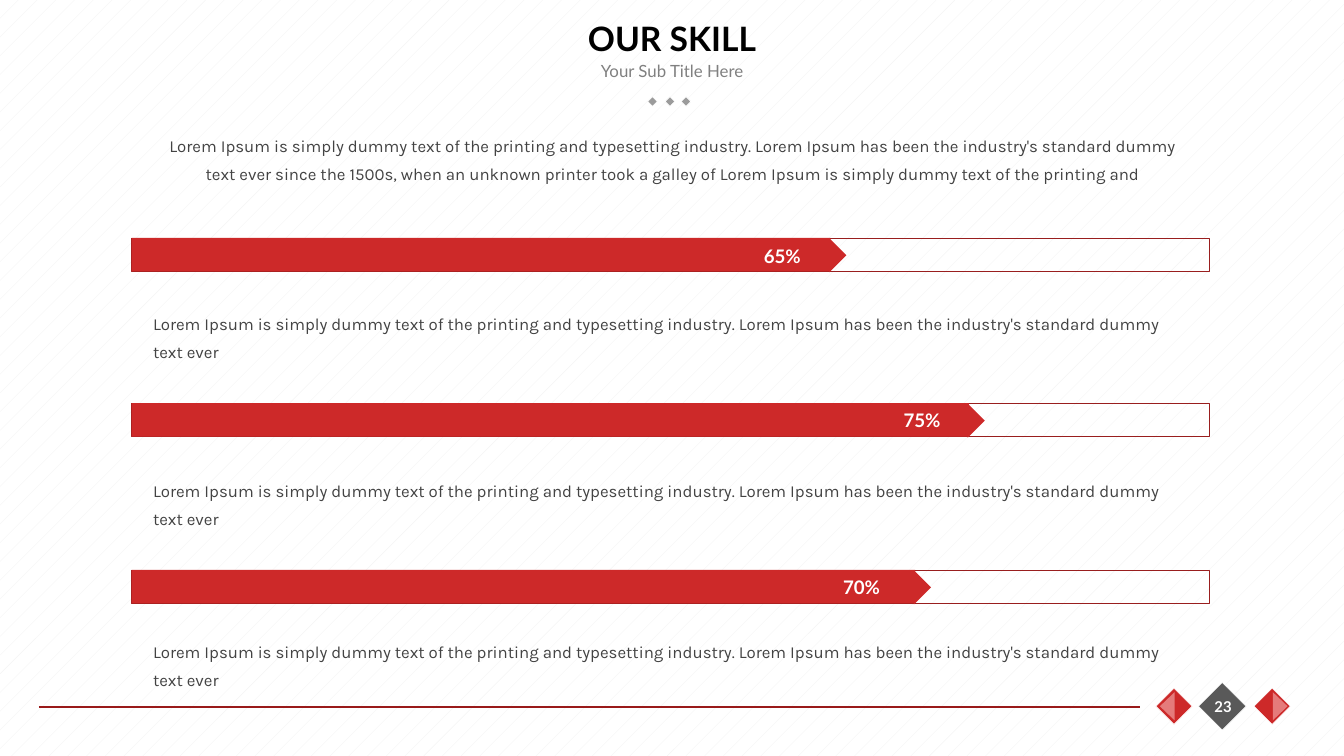
from lxml.etree import SubElement
from pptx import Presentation
from pptx.dml.color import RGBColor
from pptx.enum.dml import MSO_PATTERN
from pptx.enum.shapes import MSO_CONNECTOR, MSO_SHAPE
from pptx.enum.text import MSO_ANCHOR, MSO_AUTO_SIZE, PP_ALIGN
from pptx.oxml.ns import qn
from pptx.util import Inches, Pt

RED, DARK_RED, PINK = "CD2929", "991E1E", "E57B7B"
WHITE, DARK_GRAY = "FFFFFF", "595959"

INTRO = (
    "Lorem Ipsum is simply dummy text of the printing and typesetting industry. "
    "Lorem Ipsum has been the industry's standard dummy text ever since the 1500s, "
    "when an unknown printer took a galley of Lorem Ipsum is simply dummy text of "
    "the printing and"
)
DESCRIPTION = (
    "Lorem Ipsum is simply dummy text of the printing and typesetting industry. "
    "Lorem Ipsum has been the industry's standard dummy text ever"
)

# Label, bar top, filled width, label left, label top, description top
SKILLS = [
    ("65%", 1.77, 5.2, 5.46, 1.77, 2.23),
    ("75%", 3, 6.23, 6.5, 2.99, 3.47),
    ("70%", 4.24, 5.83, 6.05, 4.23, 4.67),
]
BAR_LEFT, BAR_WIDTH, BAR_HEIGHT = 0.98, 8.02, 0.25
TIP_SIZE = 0.18


def color(value):
    return RGBColor.from_string(value)


def place(box):
    return [Inches(length) for length in box]


def add_shape(shapes, kind, box, fill=None, line=None, rotation=0):
    shape = shapes.add_shape(kind, *place(box))
    shape.shadow.inherit = False
    shape.rotation = rotation
    if fill:
        shape.fill.solid()
        shape.fill.fore_color.rgb = color(fill)
    else:
        shape.fill.background()
    if line:
        shape.line.color.rgb = color(line)
        shape.line.width = Pt(0.25)
    else:
        shape.line.fill.background()
    return shape


def write_text(shape, text, size, font, text_color, bold=False,
               align=PP_ALIGN.CENTER, anchor=MSO_ANCHOR.MIDDLE, spacing=None):
    frame = shape.text_frame
    frame.word_wrap = True
    frame.vertical_anchor = anchor
    paragraph = frame.paragraphs[0]
    paragraph.alignment = align
    if spacing:
        paragraph.line_spacing = Pt(spacing)
    run = paragraph.add_run()
    run.text = text
    run.font.size = Pt(size)
    run.font.name = font
    run.font.bold = bold
    run.font.color.rgb = color(text_color)


def add_text(shapes, box, *content, **style):
    shape = shapes.add_textbox(*place(box))
    write_text(shape, *content, **style)
    return shape


def add_body(shapes, top, height, text, align):
    shape = add_text(shapes, (1.04, top, 7.92, height), text, 9, "Karla", "434343",
                     align=align, anchor=MSO_ANCHOR.TOP, spacing=15)
    shape.text_frame.auto_size = MSO_AUTO_SIZE.SHAPE_TO_FIT_TEXT


def add_diamond(shapes, left, top, size, fill):
    add_shape(shapes, MSO_SHAPE.RECTANGLE, (left, top, size, size), fill, WHITE, 315)


def add_header(slide):
    title = slide.shapes.title
    title.left, title.top, title.width, title.height = place((0.75, 0, 8.5, 0.56))
    write_text(title, "OUR SKILL", 18, "Lato", "000000", bold=True)
    add_text(slide.shapes, (3.75, 0.4, 2.5, 0.25),
             "Your Sub Title Here", 9, "Lato", "808080")
    dots = slide.shapes.add_group_shape().shapes
    for left in (4.83, 4.96, 5.08):
        add_diamond(dots, left, 0.73, 0.05, "9B9B9B")


def add_footer(slide):
    # Rule across the bottom
    rule = slide.shapes.add_connector(
        MSO_CONNECTOR.STRAIGHT, *place((0.29, 5.26, 8.48, 5.26)))
    rule.line.color.rgb = color("991A1A")
    rule.line.width = Pt(0.75)
    SubElement(rule.element.spPr, qn("a:effectLst"))

    # Page number between two arrow diamonds
    add_diamond(slide.shapes, 8.97, 5.13, 0.25, DARK_GRAY)
    for diamond_left, arrow_left, rotation in ((9.37, 9.42, 90), (8.64, 8.58, 270)):
        button = slide.shapes.add_group_shape().shapes
        add_diamond(button, diamond_left, 5.16, 0.19, RED)
        add_shape(button, MSO_SHAPE.FLOWCHART_EXTRACT,
                  (arrow_left, 5.2, 0.21, 0.11), PINK, rotation=rotation)
    add_text(slide.shapes, (8.89, 5.13, 0.42, 0.25), "23", 8, "Lato", WHITE, bold=True)


def add_skill(slide, label, top, filled, label_left, label_top, description_top):
    bar = slide.shapes.add_group_shape().shapes
    add_shape(bar, MSO_SHAPE.RECTANGLE,
              (BAR_LEFT, top, BAR_WIDTH, BAR_HEIGHT), line=DARK_RED)
    add_shape(bar, MSO_SHAPE.RECTANGLE, (BAR_LEFT, top, filled, BAR_HEIGHT), RED)
    add_shape(bar, MSO_SHAPE.RIGHT_TRIANGLE,
              (BAR_LEFT + filled - 0.1, top + 0.04, TIP_SIZE, TIP_SIZE),
              RED, rotation=225)
    add_text(bar, (label_left, label_top, 0.72, 0.27), label, 10, "Lato", WHITE,
             bold=True)
    add_body(slide.shapes, description_top, 0.29, DESCRIPTION, PP_ALIGN.LEFT)


def main():
    # Widescreen slide, 16:9
    presentation = Presentation()
    presentation.slide_width = Inches(10)
    presentation.slide_height = Inches(10 * 9 / 16)
    slide = presentation.slides.add_slide(presentation.slide_layouts[5])

    # Faint patterned background
    background = slide.background.fill
    background.patterned()
    background.pattern = MSO_PATTERN.PERCENT_5
    background.fore_color.rgb = color("F2F2F2")
    background.back_color.rgb = color(WHITE)

    add_header(slide)
    add_footer(slide)
    add_body(slide.shapes, 0.9, 0.52, INTRO, PP_ALIGN.CENTER)
    for skill in SKILLS:
        add_skill(slide, *skill)

    presentation.save("out.pptx")


if __name__ == "__main__":
    main()
